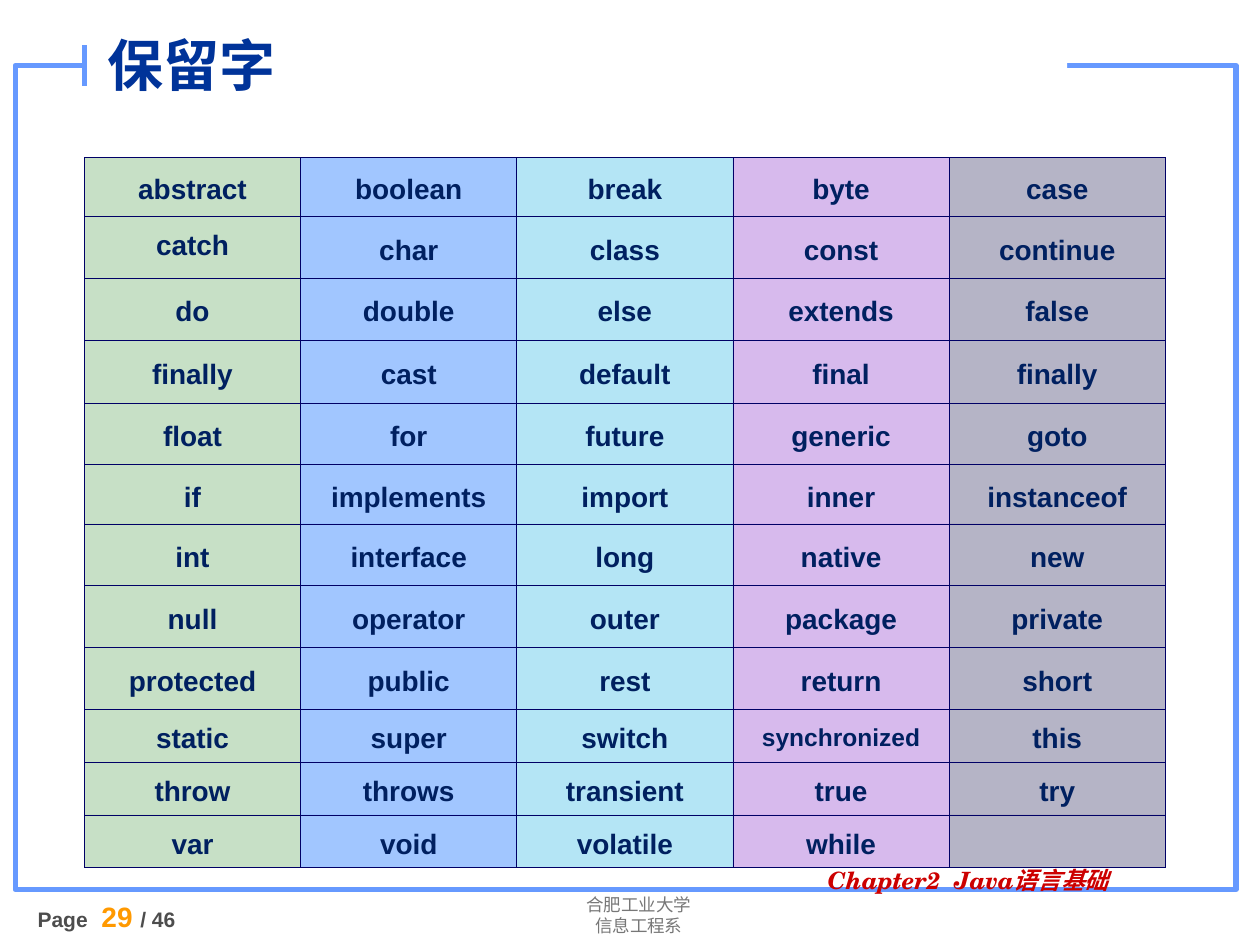
from dataclasses import dataclass

from lxml import etree
from pptx import Presentation
from pptx.dml.color import RGBColor
from pptx.enum import shapes, text
from pptx.oxml import ns
from pptx.util import Inches, Pt

COLORS = {
    "frame": "6699FF", "paper": "FFFFFF", "title": "003399", "keyword": "002060",
    "border": "000066", "school": "777777", "page": "4D4D4D", "number": "FF9900",
    "chapter": "CC0000",
}
KEYWORDS = """
abstract boolean break byte case
catch char class const continue
do double else extends false
finally cast default final finally
float for future generic goto
if implements import inner instanceof
int interface long native new
null operator outer package private
protected public rest return short
static super switch synchronized this
throw throws transient true try
var void volatile while
"""
ROW_HEIGHTS = [0.47, 0.49, 0.49, 0.5, 0.49, 0.47, 0.49, 0.49, 0.49, 0.42, 0.42, 0.42]
TABLE_LEFT, TABLE_TOP, TABLE_WIDTH = 0.67, 1.25, 8.58


@dataclass
class Span:
    text: str
    size: float
    color: str
    font: str = "Arial"
    bold: bool = True
    italic: bool = False
    tracking: float = 0


@dataclass
class Column:
    color: str
    opacity: int


COLUMNS = [Column("58A252", 33), Column("0066FF", 37), Column("35BBE5", 37),
           Column("872ECA", 33), Column("211E54", 33)]


def rgb(name: str) -> RGBColor:
    return RGBColor.from_string(COLORS[name])


def write(para, spans: list[Span], align=text.PP_ALIGN.LEFT, spacing: float = 1.0) -> None:
    para.alignment = align
    para.line_spacing = spacing
    para.space_before = Pt(0)
    for span in spans:
        run = para.add_run()
        run.text = span.text
        values = {"name": span.font, "size": Pt(span.size),
                  "bold": span.bold, "italic": span.italic}
        for key, value in values.items():
            setattr(run.font, key, value)
        run.font.color.rgb = rgb(span.color)
        if span.tracking:
            run.font._element.set("spc", str(round(span.tracking * 100)))


def add_text(page, place: tuple, lines: list[list[Span]], **layout) -> None:
    box = page.shapes.add_textbox(*map(Inches, place))
    frame = box.text_frame
    frame.word_wrap = True
    for index, spans in enumerate(lines):
        para = frame.add_paragraph() if index else frame.paragraphs[0]
        write(para, spans, **layout)


def add_frame(page) -> None:
    """Draw the page outline, the gap for the title and the tick beside it."""
    outline = page.shapes.add_shape(shapes.MSO_SHAPE.RECTANGLE, Inches(0.12),
                                    Inches(0.52), Inches(9.69), Inches(6.54))
    outline.shadow.inherit = False
    outline.fill.background()
    gap = page.shapes.add_shape(shapes.MSO_SHAPE.RECTANGLE, Inches(0.67),
                                Inches(0.28), Inches(7.8), Inches(0.35))
    gap.shadow.inherit = False
    gap.fill.solid()
    gap.fill.fore_color.rgb = rgb("paper")
    gap.line.fill.background()
    tick = page.shapes.add_connector(shapes.MSO_CONNECTOR.STRAIGHT, Inches(0.67),
                                     Inches(0.36), Inches(0.67), Inches(0.68))
    etree.SubElement(tick._element.spPr, ns.qn("a:effectLst"))
    for shape in (outline, tick):
        shape.line.color.rgb = rgb("frame")
        shape.line.width = Pt(3)


def format_title(page) -> None:
    title = page.shapes.title
    place = {"left": 0.75, "top": 0.11, "width": 6.77, "height": 0.8}
    for key, value in place.items():
        setattr(title, key, Inches(value))
    title.text_frame.auto_size = text.MSO_AUTO_SIZE.NONE
    title.text_frame.vertical_anchor = text.MSO_ANCHOR.MIDDLE
    write(title.text_frame.paragraphs[0], [Span("保留字", 32, "title")])
    page.shapes._spTree.append(title._element)  # in front of the white gap


def style_cell(cell, column: Column) -> None:
    cell.vertical_anchor = text.MSO_ANCHOR.MIDDLE
    cell.fill.solid()
    cell.fill.fore_color.rgb = RGBColor.from_string(column.color)
    properties = cell._tc.get_or_add_tcPr()
    tint = properties.find(".//" + ns.qn("a:srgbClr"))
    etree.SubElement(tint, ns.qn("a:alpha"), val=str(column.opacity * 1000))
    for index, side in enumerate(("lnL", "lnR", "lnT", "lnB")):
        line = etree.Element(ns.qn("a:" + side), w=str(Pt(0.45)))
        fill = etree.SubElement(line, ns.qn("a:solidFill"))
        etree.SubElement(fill, ns.qn("a:srgbClr"), val=COLORS["border"])
        properties.insert(index, line)


def add_keywords(page) -> None:
    rows = [line.split() for line in KEYWORDS.strip().splitlines()]
    table = page.shapes.add_table(
        len(rows), len(COLUMNS), Inches(TABLE_LEFT), Inches(TABLE_TOP),
        Inches(TABLE_WIDTH), Inches(sum(ROW_HEIGHTS))).table
    table.first_row = table.horz_banding = False
    for column in table.columns:
        column.width = Inches(TABLE_WIDTH / len(COLUMNS))
    for row, height in zip(table.rows, ROW_HEIGHTS):
        row.height = Inches(height)
    for row, words in zip(table.rows, rows):
        for cell, column in zip(row.cells, COLUMNS):
            style_cell(cell, column)
        for cell, word in zip(row.cells, words):
            size = 14 if word == "synchronized" else 16
            spacing = 0.9 if word == "catch" else 1.2
            write(cell.text_frame.paragraphs[0], [Span(word, size, "keyword")],
                  text.PP_ALIGN.CENTER, spacing)


def main() -> None:
    deck = Presentation()
    deck.slide_width, deck.slide_height = Inches(10), Inches(7.5)
    page = deck.slides.add_slide(deck.slide_layouts[5])
    add_frame(page)
    school = [[Span(line, 10, "school", "Roboto", bold=False)]
              for line in ("合肥工业大学", "信息工程系")]
    add_text(page, (3.8, 7.05, 2.54, 0.44), school, align=text.PP_ALIGN.CENTER)
    add_text(page, (0.2, 7.09, 1.81, 0.4), [[
        Span("Page", 12, "page"),
        Span(" ", 16, "number", bold=False, tracking=3.4),
        Span("29 ", 16, "number"),
        Span("/ 46", 12, "page"),
    ]])
    chapter = {"size": 13.6, "color": "chapter", "font": "TeX Gyre Schola", "italic": True}
    add_text(page, (6.47, 6.85, 3.07, 0.35), [[
        Span("Chapter2", **chapter),
        Span(" ", tracking=3.8, **chapter),
        Span("Java语言基础", **chapter),
    ]], spacing=0.9)
    format_title(page)
    add_keywords(page)
    deck.save("out.pptx")


if __name__ == "__main__":
    main()
